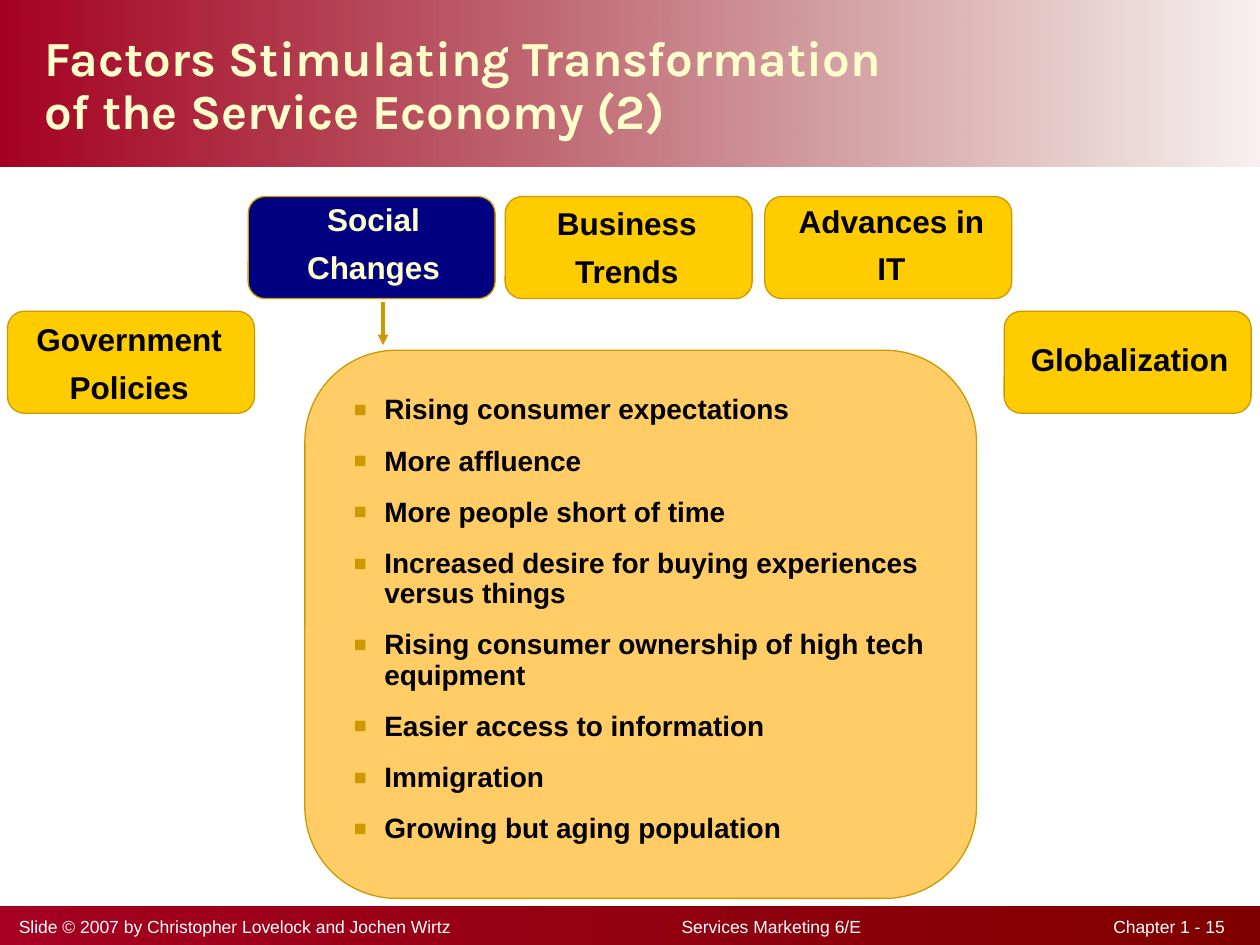
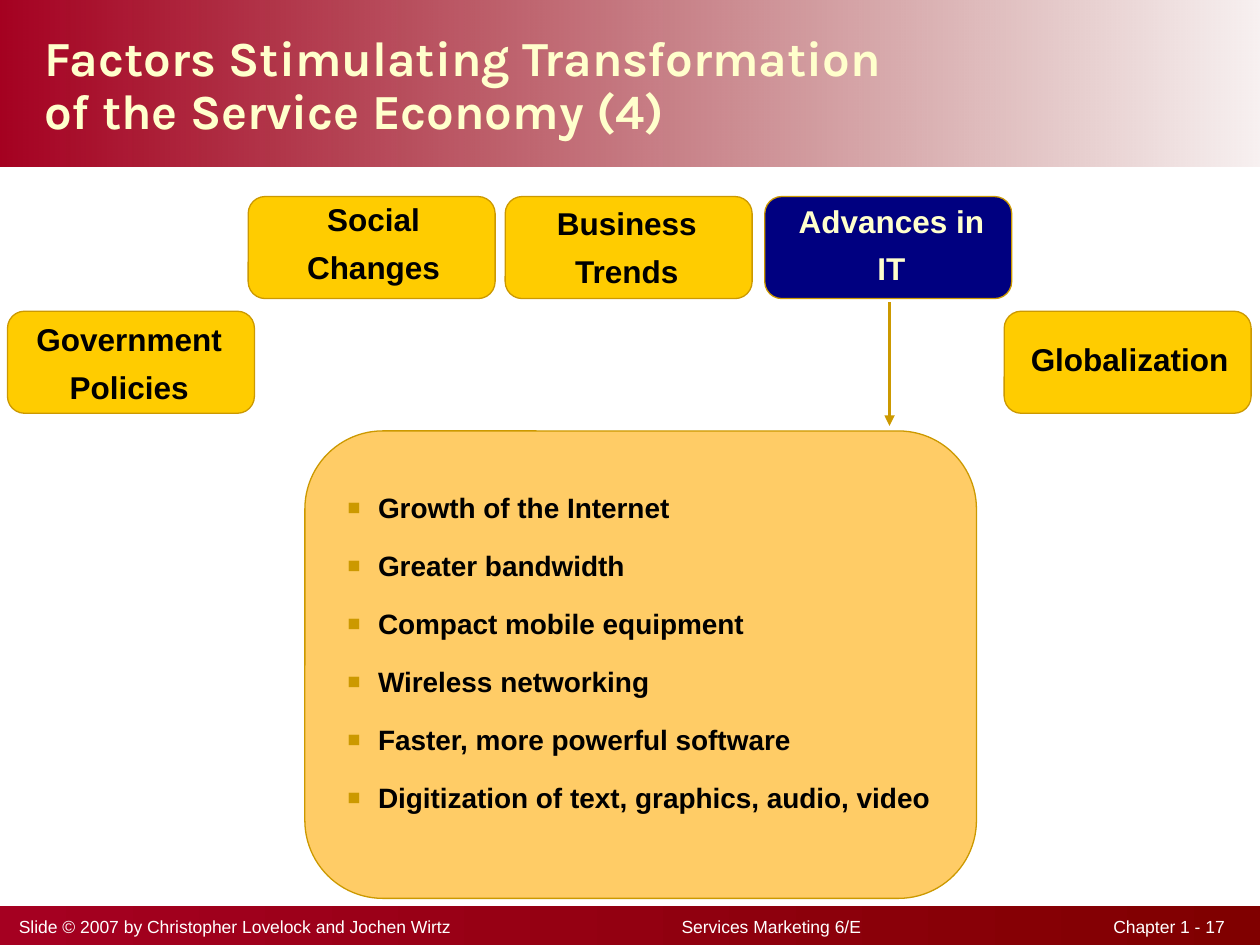
from dataclasses import dataclass

from lxml import etree
from pptx import Presentation
from pptx.dml.color import RGBColor
from pptx.enum.shapes import MSO_CONNECTOR, MSO_SHAPE
from pptx.enum.text import MSO_ANCHOR, MSO_AUTO_SIZE, PP_ALIGN
from pptx.oxml.ns import qn
from pptx.util import Inches, Pt

RECTANGLE = MSO_SHAPE.RECTANGLE
ROUNDED = MSO_SHAPE.ROUNDED_RECTANGLE
STRAIGHT = MSO_CONNECTOR.STRAIGHT
LEFT, CENTER = PP_ALIGN.LEFT, PP_ALIGN.CENTER
TOP, MIDDLE = MSO_ANCHOR.TOP, MSO_ANCHOR.MIDDLE
NO_AUTOFIT = MSO_AUTO_SIZE.NONE

SLIDE_WIDTH, SLIDE_HEIGHT = Inches(10), Inches(7.5)
COLUMNS = 100  # square cells, so the slide is 75 rows high
ROWS = 75
TITLE_AND_CONTENT = 1


@dataclass(frozen=True)
class Theme:
    band_start: str = "A50021"
    band_end: str = "800000"
    cream: str = "FFFFCC"
    white: str = "FFFFFF"
    black: str = "000000"
    factor: str = "FFCC00"
    active_factor: str = "000080"
    panel: str = "FFCC66"
    gold: str = "CC9900"
    title_font: str = "Karla"
    text_font: str = "Arial"
    title_size: float = 28
    factor_size: float = 18
    list_size: float = 16
    footer_size: float = 10
    outline: float = 0.75
    arrow: float = 2


THEME = Theme()


@dataclass(frozen=True)
class Area:
    """Left, top, width and height in grid cells."""
    column: float
    row: float
    columns: float
    rows: float

    def lengths(self) -> tuple[int, int, int, int]:
        return cells(self.column), cells(self.row), cells(self.columns), cells(self.rows)


@dataclass(frozen=True)
class Factor:
    lines: tuple[str, ...]
    column: float
    row: float
    label: Area


@dataclass(frozen=True)
class FactorSlide:
    number: int
    page: int
    active: int
    arrow_column: float
    panel_row: float
    list_area: Area
    line_spacing: float
    space_after: float
    items: tuple[str, ...]


TOP_BAND = Area(0, 0, COLUMNS, 13.2)
FOOTER_BAND = Area(0, 71.9, COLUMNS, ROWS - 71.9)
FOOTER_TEXT = Area(0, 72.2, 98.3, 2.7)
FOOTER_INSET = 1.5
FOOTER_TABS = ((52.6, "l"), (95.7, "r"))
TITLE_AREA = Area(2.5, 0.3, 82.5, 13.2)
FACTOR_COLUMNS, FACTOR_ROWS = 19.6, 8.1
UPPER_ROW, LOWER_ROW = 15.6, 24.7
PANEL_COLUMN, PANEL_COLUMNS, PANEL_BOTTOM = 24.2, 53.3, 71.3
ARROW_ROW, ARROW_GAP = 24, 0.4
LIST_INDENT = 2.5

FACTORS = (
    Factor(("Government", "Policies"), 0.6, LOWER_ROW, Area(1.7, 25.6, 17.1, 7.1)),
    Factor(("Social", "Changes"), 19.7, UPPER_ROW, Area(21.1, 16.1, 17.1, 7.1)),
    Factor(("Business", "Trends"), 40.1, UPPER_ROW, Area(41.2, 16.4, 17.1, 7.1)),
    Factor(("Advances in", "IT"), 60.7, UPPER_ROW, Area(62.2, 16.2, 17.1, 7.1)),
    Factor(("Globalization",), 79.7, LOWER_ROW, Area(80.4, 27.2, 18.5, 3.3)),
)

SLIDES = (
    FactorSlide(2, 15, 1, 30.4, 27.8, Area(27, 30.9, 51.7, 36.8), 0.9, 12, (
        "Rising consumer expectations",
        "More affluence",
        "More people short of time",
        "Increased desire for buying experiences versus things",
        "Rising consumer ownership of high tech equipment",
        "Easier access to information",
        "Immigration",
        "Growing but aging population",
    )),
    FactorSlide(4, 17, 3, 70.6, 34.2, Area(26.5, 38.4, 49.8, 26.7), 1.0, 14, (
        "Growth of the Internet",
        "Greater bandwidth",
        "Compact mobile equipment",
        "Wireless networking",
        "Faster, more powerful software",
        "Digitization of text, graphics, audio, video",
    )),
)


def cells(count: float) -> int:
    """Length of a number of grid cells."""
    return round(SLIDE_WIDTH * count / COLUMNS)


def add_element(parent, tag: str, **attributes: str):
    return etree.SubElement(parent, qn(tag), attributes)


def set_font(paragraph, size: float, color: str, bold: bool = True,
             name: str = THEME.text_font) -> None:
    font = paragraph.font
    font.name, font.size, font.bold = name, Pt(size), bold
    font.color.rgb = RGBColor.from_string(color)


def place(placeholder, area: Area, anchor) -> None:
    placeholder.left, placeholder.top, placeholder.width, placeholder.height = area.lengths()
    frame = placeholder.text_frame
    frame.auto_size, frame.word_wrap, frame.vertical_anchor = NO_AUTOFIT, True, anchor


def add_text_box(slide, area: Area):
    frame = slide.shapes.add_textbox(*area.lengths()).text_frame
    frame.word_wrap = True
    return frame


def add_band(slide, area: Area, end_opacity: int = 100) -> None:
    band = slide.shapes.add_shape(RECTANGLE, *area.lengths())
    band.shadow.inherit = False
    band.line.fill.background()
    band.fill.gradient()
    band.fill.gradient_angle = 0
    for stop, color in zip(band.fill.gradient_stops, (THEME.band_start, THEME.band_end)):
        stop.color.rgb = RGBColor.from_string(color)
    if end_opacity < 100:
        end_color = list(band.element.spPr.iter(qn("a:srgbClr")))[-1]
        add_element(end_color, "a:alpha", val=str(end_opacity * 1000))


def add_rounded_box(slide, area: Area, color: str) -> None:
    box = slide.shapes.add_shape(ROUNDED, *area.lengths())
    box.shadow.inherit = False
    box.fill.solid()
    box.fill.fore_color.rgb = RGBColor.from_string(color)
    box.line.color.rgb = RGBColor.from_string(THEME.gold)
    box.line.width = Pt(THEME.outline)


def add_footer(slide, page: int) -> None:
    add_band(slide, FOOTER_BAND)
    frame = add_text_box(slide, FOOTER_TEXT)
    frame.margin_left = cells(FOOTER_INSET)
    paragraph = frame.paragraphs[0]
    paragraph.text = ("Slide © 2007 by Christopher Lovelock and Jochen Wirtz"
                      f"\tServices Marketing 6/E\tChapter 1 - {page}")
    tabs = add_element(paragraph._p.get_or_add_pPr(), "a:tabLst")
    for position, alignment in FOOTER_TABS:
        add_element(tabs, "a:tab", pos=str(cells(position)), algn=alignment)
    set_font(paragraph, THEME.footer_size, THEME.white, bold=False)


def write_title(slide, number: int) -> None:
    title = slide.shapes.title
    slide.shapes.element.append(title.element)  # in front of the band
    place(title, TITLE_AREA, MIDDLE)
    paragraph = title.text_frame.paragraphs[0]
    paragraph.text = ("Factors Stimulating Transformation\v"
                      f"of the Service Economy ({number})")
    paragraph.alignment, paragraph.line_spacing = LEFT, 0.9
    set_font(paragraph, THEME.title_size, THEME.cream, name=THEME.title_font)


def add_factor(slide, factor: Factor, active: bool) -> None:
    area = Area(factor.column, factor.row, FACTOR_COLUMNS, FACTOR_ROWS)
    add_rounded_box(slide, area, THEME.active_factor if active else THEME.factor)
    frame = add_text_box(slide, factor.label)
    frame.text = "\n".join(factor.lines)
    for index, paragraph in enumerate(frame.paragraphs):
        paragraph.alignment, paragraph.line_spacing = CENTER, 0.75
        paragraph.space_before = Pt(11.2 if index else 0)
        set_font(paragraph, THEME.factor_size, THEME.cream if active else THEME.black)


def add_arrow(slide, column: float, end_row: float) -> None:
    arrow = slide.shapes.add_connector(STRAIGHT, cells(column), cells(ARROW_ROW),
                                       cells(column), cells(end_row))
    arrow.line.color.rgb = RGBColor.from_string(THEME.gold)
    arrow.line.width = Pt(THEME.arrow)
    add_element(arrow.line._get_or_add_ln(), "a:tailEnd", type="triangle")
    add_element(arrow.element.spPr, "a:effectLst")


def add_bullet(paragraph) -> None:
    properties = paragraph._p.get_or_add_pPr()
    properties.set("marL", str(cells(LIST_INDENT)))
    properties.set("indent", str(-cells(LIST_INDENT)))
    add_element(add_element(properties, "a:buClr"), "a:srgbClr", val=THEME.gold)
    add_element(properties, "a:buSzPct", val="150000")
    add_element(properties, "a:buFont", typeface=THEME.text_font)
    add_element(properties, "a:buChar", char="▪")


def write_list(slide, content: FactorSlide) -> None:
    body = slide.placeholders[1]
    slide.shapes.element.append(body.element)  # in front of the panel
    place(body, content.list_area, TOP)
    body.text_frame.text = "\n".join(content.items)
    for paragraph in body.text_frame.paragraphs:
        paragraph.line_spacing = content.line_spacing
        paragraph.space_before, paragraph.space_after = Pt(0), Pt(content.space_after)
        add_bullet(paragraph)
        set_font(paragraph, THEME.list_size, THEME.black)


def build_slide(deck, content: FactorSlide) -> None:
    slide = deck.slides.add_slide(deck.slide_layouts[TITLE_AND_CONTENT])
    add_band(slide, TOP_BAND, end_opacity=6)
    add_footer(slide, content.page)
    write_title(slide, content.number)
    for index, factor in enumerate(FACTORS):
        add_factor(slide, factor, index == content.active)
    add_rounded_box(slide, Area(PANEL_COLUMN, content.panel_row, PANEL_COLUMNS,
                                PANEL_BOTTOM - content.panel_row), THEME.panel)
    add_arrow(slide, content.arrow_column, content.panel_row - ARROW_GAP)
    write_list(slide, content)


def main() -> None:
    deck = Presentation()
    deck.slide_width, deck.slide_height = SLIDE_WIDTH, SLIDE_HEIGHT
    for content in SLIDES:
        build_slide(deck, content)
    deck.save("out.pptx")


if __name__ == "__main__":
    main()
